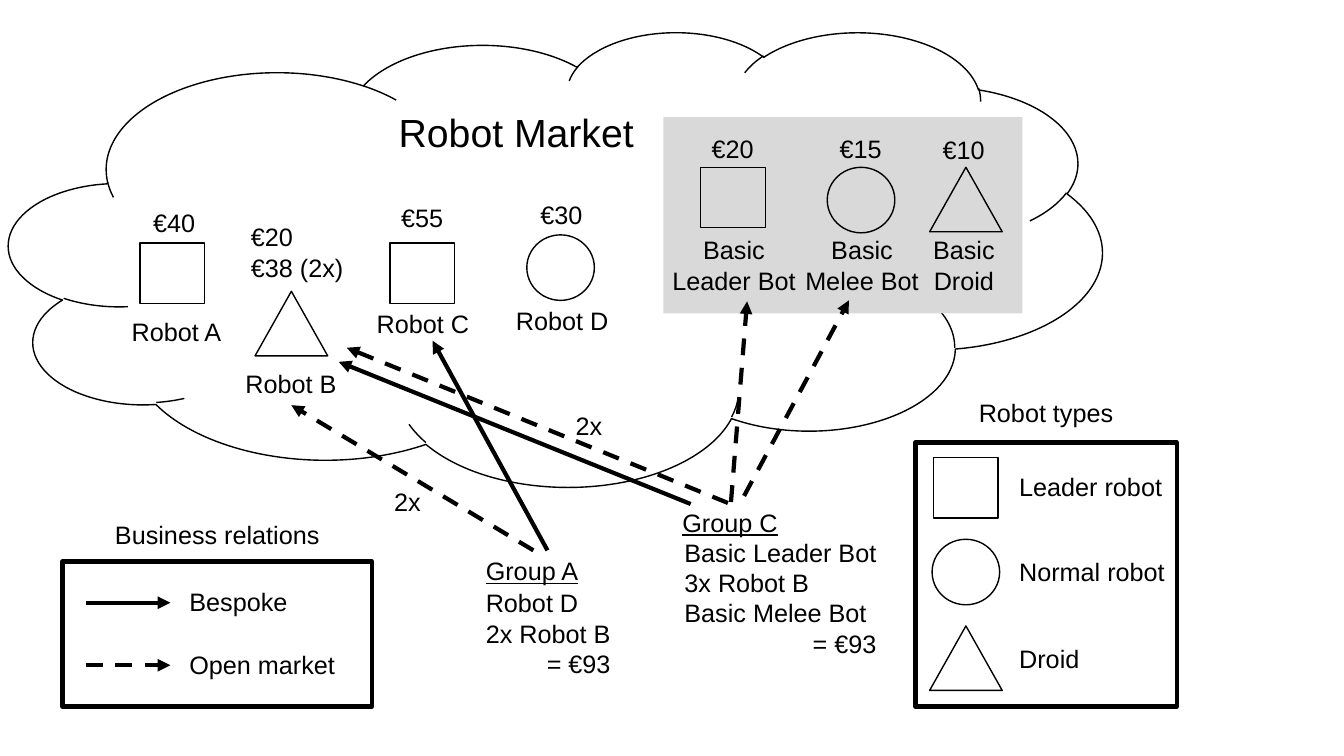
from lxml import etree
from pptx import Presentation
from pptx.dml.color import RGBColor
from pptx.enum.dml import MSO_LINE
from pptx.enum.shapes import MSO_CONNECTOR, MSO_SHAPE
from pptx.enum.text import MSO_ANCHOR, MSO_AUTO_SIZE, PP_ALIGN
from pptx.oxml.ns import qn
from pptx.util import Inches, Pt

COLORS = {"ink": "000000", "panel": "D9D9D9"}
FONT = "Arial"
LEFT, CENTER, RIGHT = PP_ALIGN.LEFT, PP_ALIGN.CENTER, PP_ALIGN.RIGHT
ROBOT_TYPES = {
    "leader": (MSO_SHAPE.RECTANGLE, 0.64, 0.6),
    "normal": (MSO_SHAPE.OVAL, 0.67, 0.65),
    "droid": (MSO_SHAPE.ISOSCELES_TRIANGLE, 0.72, 0.64),
}


class Diagram:
    def __init__(self, slide):
        self.slide = slide

    def color(self, name):
        return RGBColor.from_string(COLORS[name])

    def format(self, p, size, align, underline=None):
        p.alignment = align
        p.font.name = FONT
        p.font.size = Pt(size)
        p.font.underline = underline
        p.font.color.rgb = self.color("ink")

    def title(self, text, x, y, w, h):
        sp = self.slide.shapes.title
        sp.left, sp.top, sp.width, sp.height = map(Inches, (x, y, w, h))
        tf = sp.text_frame
        tf.text = text
        tf.word_wrap = False
        tf.vertical_anchor = MSO_ANCHOR.MIDDLE
        self.format(tf.paragraphs[0], 28, CENTER)

    def shape(self, kind, x, y, w, h, line=None, fill=None):
        sp = self.slide.shapes.add_shape(kind, *map(Inches, (x, y, w, h)))
        sp.shadow.inherit = False
        if fill:
            sp.fill.solid()
            sp.fill.fore_color.rgb = self.color(fill)
        else:
            sp.fill.background()
        if line:
            sp.line.width = Pt(line)
            sp.line.color.rgb = self.color("ink")
        else:
            sp.line.fill.background()

    def robot(self, robot_type, center, top):
        kind, w, h = ROBOT_TYPES[robot_type]
        self.shape(kind, center - w / 2, top, w, h, line=1)

    def text(self, text, x, y, w, align=LEFT, underline=None, total=None):
        lines = text.split("\n") + ([total] if total else [])
        h = 0.4 + 0.305 * (len(lines) - 1)
        tf = self.slide.shapes.add_textbox(*map(Inches, (x, y, w, h))).text_frame
        tf.text = "\n".join(lines)
        tf.word_wrap = False
        tf.auto_size = MSO_AUTO_SIZE.SHAPE_TO_FIT_TEXT
        for p in tf.paragraphs:
            self.format(p, 18, align, underline)
        if total:
            tf.paragraphs[-1].alignment = RIGHT

    def arrow(self, x1, y1, x2, y2, dashed=False):
        c = self.slide.shapes.add_connector(
            MSO_CONNECTOR.STRAIGHT, *map(Inches, (x1, y1, x2, y2)))
        c.line.width = Pt(3)
        c.line.color.rgb = self.color("ink")
        if dashed:
            c.line.dash_style = MSO_LINE.DASH
        etree.SubElement(c.line._get_or_add_ln(), qn("a:tailEnd"), type="triangle")
        etree.SubElement(c._element.spPr, qn("a:effectLst"))


prs = Presentation()
prs.slide_width, prs.slide_height = Inches(13.33), Inches(7.5)
s = Diagram(prs.slides.add_slide(prs.slide_layouts[5]))

s.shape(MSO_SHAPE.CLOUD, 0.09, 0.31, 10.84, 4.51, line=1)
s.title("Robot Market", 3.82, 1.01, 2.6, 0.6)
s.shape(MSO_SHAPE.RECTANGLE, 6.58, 1.16, 3.56, 1.95, fill="panel")

market = [
    ("leader", 1.71, 2.41, "€40", (1.42, 2.01, 0.62), "Robot A", (1.2, 3.09, 1.1)),
    ("droid", 2.89, 2.89, "€20\n€38 (2x)", (2.39, 2.15, 1.13), "Robot B", (2.33, 3.61, 1.11)),
    ("leader", 4.19, 2.41, "€55", (3.88, 1.96, 0.62), "Robot C", (3.63, 3.01, 1.13)),
    ("normal", 5.56, 2.33, "€30", (5.26, 1.93, 0.62), "Robot D", (5.01, 2.98, 1.13)),
    ("leader", 7.27, 1.66, "€20", (6.96, 1.27, 0.62), "Basic\nLeader Bot", (6.56, 2.28, 1.44)),
    ("normal", 8.54, 1.66, "€15", (8.23, 1.27, 0.62), "Basic\nMelee Bot", (7.88, 2.28, 1.34)),
    ("droid", 9.58, 1.66, "€10", (9.25, 1.28, 0.62), "Basic\nDroid", (9.15, 2.28, 0.82)),
]
for robot_type, center, top, price, price_box, name, name_box in market:
    s.robot(robot_type, center, top)
    s.text(price, *price_box)
    s.text(name, *name_box, align=CENTER)

s.text("Group A", 4.72, 5.46, 1.13, underline=True)
s.text("Robot D\n2x Robot B", 4.72, 5.78, 1.46, total="= €93")
s.text("Group C", 6.67, 4.98, 1.16, underline=True)
s.text("Basic Leader Bot\n3x Robot B\nBasic Melee Bot", 6.69, 5.28, 2.14, total="= €93")

relations = [
    (5.29, 5.46, 2.89, 4.02, True),
    (5.43, 5.46, 4.29, 3.38, False),
    (7.22, 4.99, 3.44, 3.45, True),
    (6.85, 5, 3.36, 3.59, False),
    (7.25, 4.98, 7.41, 2.99, True),
    (7.38, 4.92, 8.42, 2.98, True),
]
for relation in relations:
    s.arrow(*relation)
for x, y in [(3.81, 4.78), (5.61, 4.02)]:
    s.text("2x", x, y, 0.47)

s.text("Robot types", 9.6, 3.89, 1.55, align=CENTER)
s.shape(MSO_SHAPE.RECTANGLE, 9.08, 4.39, 2.59, 2.62, line=3)
for robot_type, top, label, y, w in [
    ("leader", 4.54, "Leader robot", 4.63, 1.63),
    ("normal", 5.35, "Normal robot", 5.47, 1.66),
    ("droid", 6.21, "Droid", 6.33, 0.81),
]:
    s.robot(robot_type, 9.58, top)
    s.text(label, 10.01, y, w)

s.text("Business relations", 1.03, 5.1, 2.25, align=CENTER)
s.shape(MSO_SHAPE.RECTANGLE, 0.62, 5.57, 3.07, 1.44, line=3)
for label, y, w, dashed in [("Bespoke", 5.98, 1.18, False), ("Open market", 6.6, 1.66, True)]:
    s.arrow(0.85, y, 1.69, y, dashed)
    s.text(label, 1.78, y - 0.21, w)

prs.save("out.pptx")
